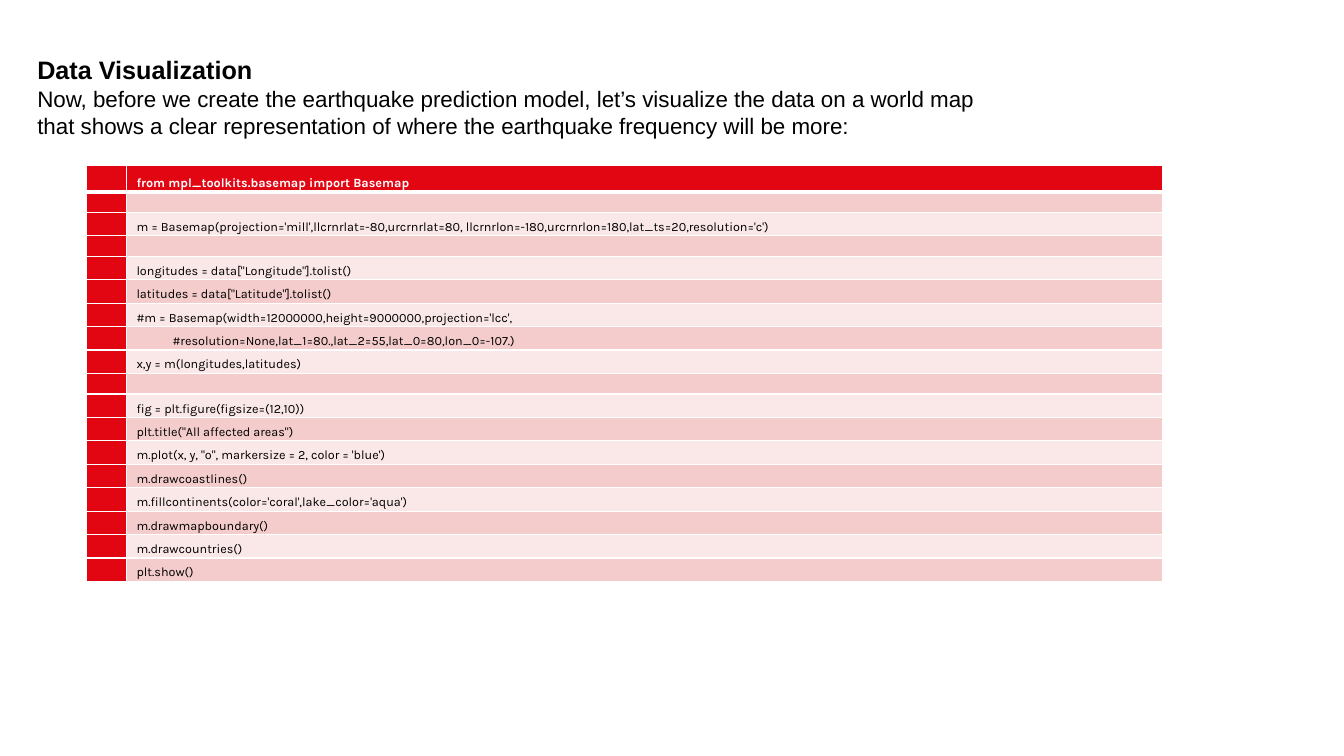
from lxml import etree
from pptx import Presentation
from pptx.dml import color
from pptx.enum import shapes, text
from pptx.oxml import ns
from pptx.util import Cm, Pt

RED, ROSE, BLUSH = "E20613", "F4CCCC", "FAE7E7"
WHITE, BLACK = "FFFFFF", "000000"

INTRO = [
    ("Data Visualization", 18, True),
    ("Now, before we create the earthquake prediction model, let’s visualize the data on a world map", 16, False),
    ("that shows a clear representation of where the earthquake frequency will be more:", 16, False),
]

CODE = """from mpl_toolkits.basemap import Basemap

m = Basemap(projection='mill',llcrnrlat=-80,urcrnrlat=80, llcrnrlon=-180,urcrnrlon=180,lat_ts=20,resolution='c')

longitudes = data["Longitude"].tolist()
latitudes = data["Latitude"].tolist()
#m = Basemap(width=12000000,height=9000000,projection='lcc',
#resolution=None,lat_1=80.,lat_2=55,lat_0=80,lon_0=-107.)
x,y = m(longitudes,latitudes)

fig = plt.figure(figsize=(12,10))
plt.title("All affected areas")
m.plot(x, y, "o", markersize = 2, color = 'blue')
m.drawcoastlines()
m.fillcontinents(color='coral',lake_color='aqua')
m.drawmapboundary()
m.drawcountries()
plt.show()""".split("\n")


def paint(fill, shade):
    fill.solid()
    fill.fore_color.rgb = color.RGBColor.from_string(shade)


def style(font, name, size, shade, bold):
    font.name, font.size, font.bold = name, Pt(size), bold
    paint(font.fill, shade)


def edge(cell, base):
    props = cell._tc.get_or_add_tcPr()
    widths = {"lnL": 1, "lnR": 1, "lnT": 1, "lnB": base}
    for spot, (tag, width) in enumerate(widths.items()):
        line = etree.Element(ns.qn(f"a:{tag}"), w=str(Pt(width)))
        solid = etree.SubElement(line, ns.qn("a:solidFill"))
        etree.SubElement(solid, ns.qn("a:srgbClr"), val=WHITE)
        props.insert(spot, line)


def fill_cell(cell, words, shade, head):
    paint(cell.fill, shade)
    edge(cell, 3 if head else 1)
    pad = Cm(0.03) if words else 0
    cell.margin_top = Cm(0.1) if head and words else pad
    cell.margin_bottom = pad
    cell.margin_left = Cm(1.16) if words.startswith("#res") else Cm(0.25)
    cell.margin_right = Cm(0.25)
    para = cell.text_frame.paragraphs[0]
    para.text = words
    para.line_spacing, para.space_after = Pt(15), Pt(8)
    style(para.font, "Karla", 9, WHITE if head else BLACK, head)
    if not words:
        para._p.get_or_add_endParaRPr().set("sz", "900")


def add_code(slide):
    frame = slide.shapes.add_table(len(CODE), 2, Cm(2.17), Cm(4.17), Cm(27.13), Cm(10.4))
    table = frame.table
    table.columns[0].width, table.columns[1].width = Cm(1.02), Cm(26.11)
    for i, words in enumerate(CODE):
        head = i == 0
        table.rows[i].height = Cm(0.66 if head else 0.58 if words else 0.52)
        shade = RED if head else ROSE if i % 2 else BLUSH
        fill_cell(table.cell(i, 0), "", RED, head)
        fill_cell(table.cell(i, 1), words, shade, head)


def add_intro(slide):
    box = slide.shapes.add_shape(shapes.MSO_SHAPE.RECTANGLE, Cm(0.69), Cm(1.24), Cm(29.67), Cm(2.39))
    box.shadow.inherit = False
    paint(box.fill, WHITE)
    box.line.fill.background()
    frame = box.text_frame
    frame.word_wrap = True
    frame.auto_size = text.MSO_AUTO_SIZE.SHAPE_TO_FIT_TEXT
    frame.vertical_anchor = text.MSO_ANCHOR.MIDDLE
    for i, (words, size, bold) in enumerate(INTRO):
        para = frame.add_paragraph() if i else frame.paragraphs[0]
        para.text = words
        para.alignment = text.PP_ALIGN.LEFT
        style(para.font, "Arial", size, BLACK, bold)


def main():
    deck = Presentation()
    deck.slide_width, deck.slide_height = Cm(33.87), Cm(19.05)
    slide = deck.slides.add_slide(deck.slide_layouts[6])
    add_code(slide)
    add_intro(slide)
    deck.save("out.pptx")


if __name__ == "__main__":
    main()
